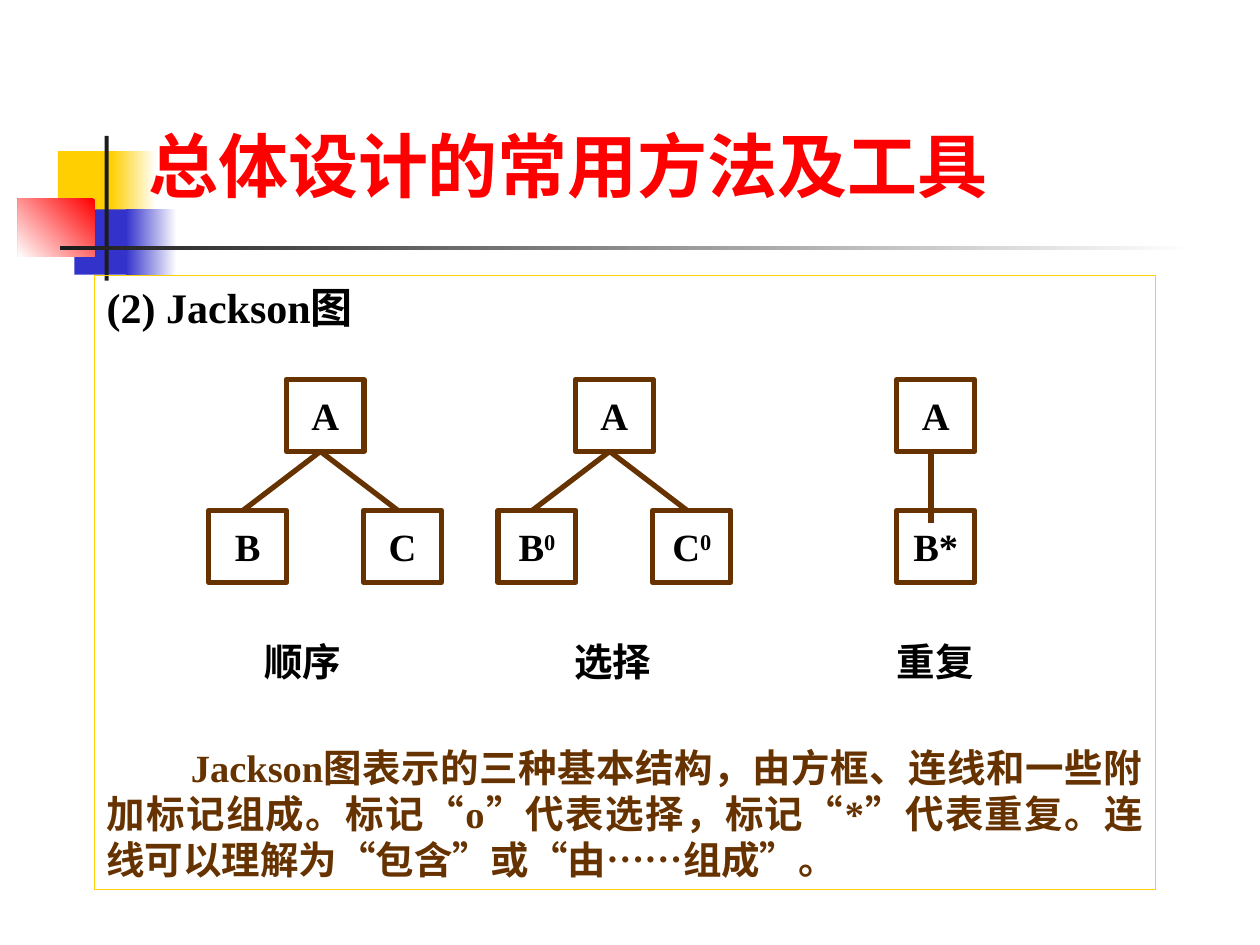
from lxml import etree
from pptx import Presentation
from pptx.dml.color import RGBColor
from pptx.enum.shapes import MSO_CONNECTOR, MSO_SHAPE
from pptx.enum.text import MSO_ANCHOR, PP_ALIGN
from pptx.oxml.ns import qn
from pptx.util import Cm, Pt

RECT = MSO_SHAPE.RECTANGLE
STRAIGHT = MSO_CONNECTOR.STRAIGHT
TOP, MIDDLE = MSO_ANCHOR.TOP, MSO_ANCHOR.MIDDLE
LEFT, CENTER, JUSTIFY = PP_ALIGN.LEFT, PP_ALIGN.CENTER, PP_ALIGN.JUSTIFY

FONT = "Times New Roman"
BLACK, WHITE, RED = "000000", "FFFFFF", "FF0000"
YELLOW, BLUE, DARK, BROWN = "FFCF01", "3333CC", "1C1C1C", "663300"

BOX_W, BOX_H = 1.57, 1.45
PARENT_Y, CHILD_Y = 7.65, 10.29
CHILD_SHIFT = 1.56
JOINT = 0.69
LABEL_Y = 12.73

DECORATION = [
    (1.17, 3.05, 1.22, 1.32, [YELLOW], 0),
    (2.24, 3.05, 0.91, 1.32, [WHITE, YELLOW], 180),
    (1.5, 4.22, 1.17, 1.32, [BLUE], 0),
    (2.54, 4.22, 1.02, 1.32, [WHITE, BLUE], 180),
    (0.36, 4.01, 1.55, 1.17, [RED, WHITE], 225),
    (2.11, 2.74, 0.08, 2.92, [DARK], 0),
    (1.22, 4.95, 22.86, 0.09, [WHITE, DARK], 180),
]

STRUCTURES = [
    (5.77, [("B", "", -CHILD_SHIFT), ("C", "", CHILD_SHIFT)], CHILD_Y, "顺序", 5.08),
    (11.6, [("B", "0", -CHILD_SHIFT), ("C", "0", CHILD_SHIFT)], CHILD_Y, "选择", 11.33),
    (18.08, [("B*", "", 0)], CHILD_Y + 0.25, "重复", 17.83),
]

HEADING = "(2) Jackson图"
EXPLANATION = (
    "Jackson图表示的三种基本结构，由方框、连线和一些附加标记组成。"
    "标记“o”代表选择，标记“*”代表重复。连线可以理解为“包含”或“由……组成”。"
)


def rgb(color):
    """Turn a hex string into a colour."""
    return RGBColor.from_string(color)


def style_run(r, size, color):
    """Give a run the bold slide font."""
    r.font.name = FONT
    r.font.size = Pt(size)
    r.font.bold = True
    r.font.color.rgb = rgb(color)


def write(p, text, size, color, align):
    """Fill a paragraph with one styled run."""
    p.text = text
    p.alignment = align
    style_run(p.runs[0], size, color)


def add_block(shapes, x, y, w, h, colors, angle):
    """Add a borderless rectangle with a solid or two-colour fill."""
    s = shapes.add_shape(RECT, Cm(x), Cm(y), Cm(w), Cm(h))
    s.shadow.inherit = False
    s.line.fill.background()
    if len(colors) == 1:
        s.fill.solid()
        s.fill.fore_color.rgb = rgb(colors[0])
        return
    s.fill.gradient()
    s.fill.gradient_angle = angle
    for stop, color in zip(s.fill.gradient_stops, colors):
        stop.color.rgb = rgb(color)


def add_outline(shapes, x, y, w, h, color, width, anchor, wrap):
    """Add an unfilled rectangle with a coloured border."""
    s = shapes.add_shape(RECT, Cm(x), Cm(y), Cm(w), Cm(h))
    s.shadow.inherit = False
    s.fill.background()
    s.line.color.rgb = rgb(color)
    s.line.width = Pt(width)
    s.text_frame.vertical_anchor = anchor
    s.text_frame.word_wrap = wrap
    return s


def add_node(shapes, x, y, text, mark=""):
    """Add a diagram box, with an optional superscript mark."""
    s = add_outline(shapes, x, y, BOX_W, BOX_H, BROWN, 3, MIDDLE, False)
    p = s.text_frame.paragraphs[0]
    write(p, text, 22, BLACK, CENTER)
    if mark:
        r = p.add_run()
        r.text = mark
        style_run(r, 22, BLACK)
        r.font._element.set("baseline", "30000")


def add_link(shapes, x1, y1, x2, y2):
    """Add a line between two diagram boxes."""
    s = shapes.add_connector(STRAIGHT, Cm(x1), Cm(y1), Cm(x2), Cm(y2))
    s.line.color.rgb = rgb(BROWN)
    s.line.width = Pt(3)
    etree.SubElement(s._element.spPr, qn("a:effectLst"))


def add_label(shapes, x, y, w, h, text, size, color, wrap):
    """Add a single-paragraph text box."""
    tf = shapes.add_textbox(Cm(x), Cm(y), Cm(w), Cm(h)).text_frame
    tf.word_wrap = wrap
    write(tf.paragraphs[0], text, size, color, LEFT)


def add_frame(shapes):
    """Add the bordered body with its heading and explanation."""
    s = add_outline(shapes, 1.9, 5.56, 21.39, 12.37, YELLOW, 0.75, TOP, True)
    tf = s.text_frame
    write(tf.paragraphs[0], HEADING, 24, BLACK, JUSTIFY)
    p = tf.add_paragraph()
    write(p, EXPLANATION, 22, BROWN, JUSTIFY)
    p.space_before = Cm(8.29)
    p._p.get_or_add_pPr().set("indent", str(Cm(1.7)))


def add_structure(shapes, x, children, link_end):
    """Add a grouped parent box with its children and links."""
    group = shapes.add_group_shape().shapes
    add_node(group, x, PARENT_Y, "A")
    for text, mark, shift in children:
        add_node(group, x + shift, CHILD_Y, text, mark)
    start = x + JOINT
    for _, _, shift in children:
        add_link(group, start, PARENT_Y + BOX_H, start + shift, link_end)


def main():
    """Build and save the slide."""
    prs = Presentation()
    prs.slide_width, prs.slide_height = Cm(25.4), Cm(19.05)
    shapes = prs.slides.add_slide(prs.slide_layouts[6]).shapes
    for block in DECORATION:
        add_block(shapes, *block)
    add_label(shapes, 2.74, 2.34, 21.59, 1.96, "总体设计的常用方法及工具", 40, RED, True)
    add_frame(shapes)
    for x, children, link_end, name, name_x in STRUCTURES:
        add_structure(shapes, x, children, link_end)
        add_label(shapes, name_x, LABEL_Y, 2.06, 1.19, name, 22, BLACK, False)
    prs.save("out.pptx")


if __name__ == "__main__":
    main()
